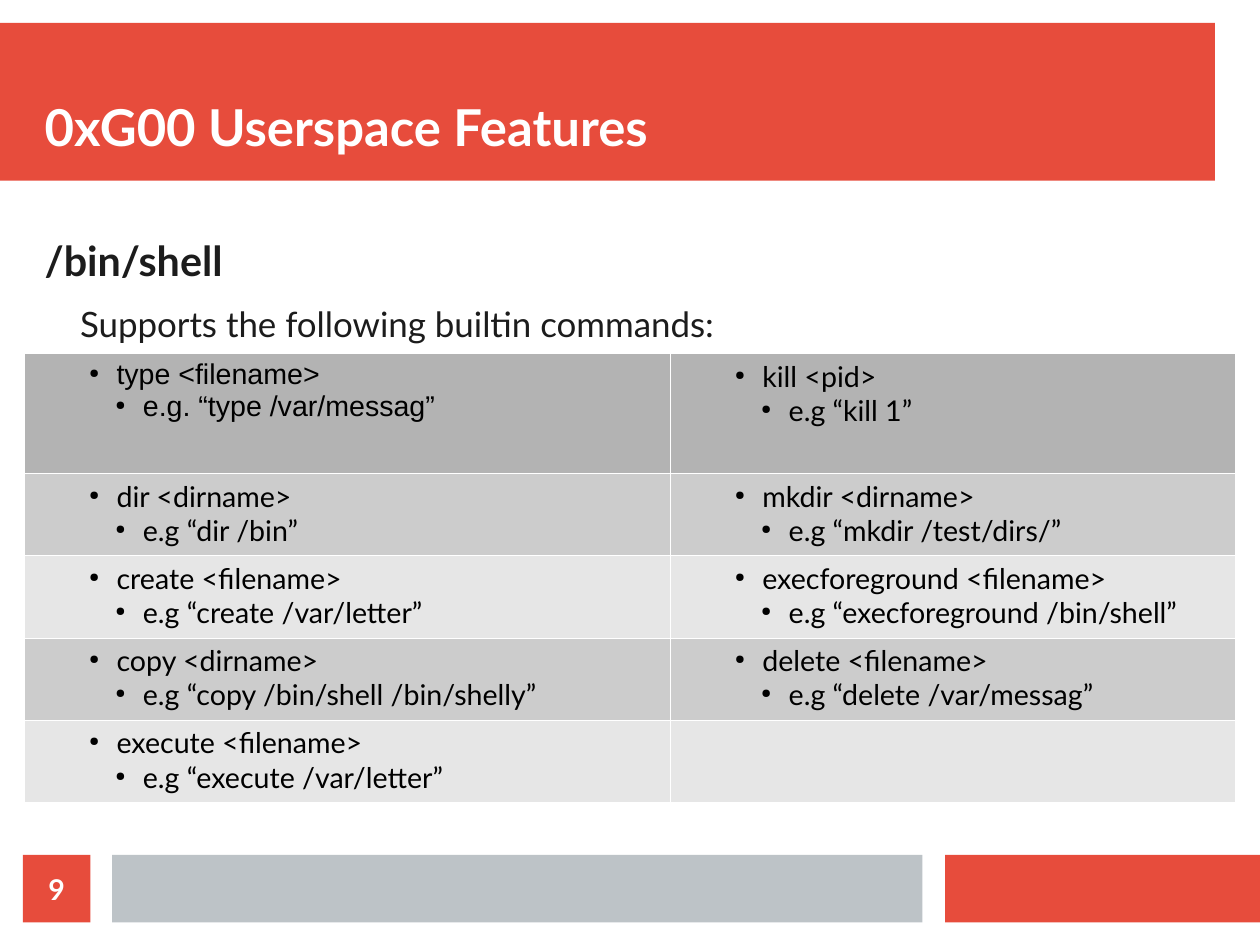
from dataclasses import dataclass

from lxml.etree import SubElement
from pptx import Presentation
from pptx.dml.color import RGBColor
from pptx.enum.shapes import MSO_SHAPE
from pptx.enum.text import MSO_ANCHOR, MSO_AUTO_SIZE, PP_ALIGN
from pptx.oxml.ns import qn
from pptx.util import Cm, Inches, Pt

RED, GREY, WHITE, INK, BLACK = "E74C3C", "BDC3C7", "FFFFFF", "1C1C1C", "000000"


@dataclass
class Bar:
    left: float
    top: float
    width: float
    height: float
    color: str
    text: str = ""


@dataclass
class Command:
    usage: str
    sample: str
    font: str = "Lato"


BARS = [
    Bar(0, 0.2, 10.63, 1.38, RED),
    Bar(8.27, 7.48, 2.76, 0.59, RED),
    Bar(0.98, 7.48, 7.09, 0.59, GREY),
    Bar(0.2, 7.48, 0.59, 0.59, RED, "9"),
]
ROWS = [
    [Command("type <filename>", "e.g. “type /var/messag”", "Arial"),
     Command("kill <pid>", "e.g “kill 1”")],
    [Command("dir <dirname>", "e.g “dir /bin”"),
     Command("mkdir <dirname>", "e.g “mkdir /test/dirs/”")],
    [Command("create <filename>", "e.g “create /var/letter”"),
     Command("execforeground <filename>", "e.g “execforeground /bin/shell”")],
    [Command("copy <dirname>", "e.g “copy /bin/shell /bin/shelly”"),
     Command("delete <filename>", "e.g “delete /var/messag”")],
    [Command("execute <filename>", "e.g “execute /var/letter”")],
]
WIDTHS = [5.65, 4.95]
HEAD, BANDS = "B3B3B3", ["E6E6E6", "CCCCCC"]


def paint(target, color: str) -> None:
    """Give a fill one solid colour."""
    target.solid()
    target.fore_color.rgb = RGBColor.from_string(color)


def style(para, size: float, color: str, bold: bool = False, face: str = "Lato") -> None:
    font = para.font
    font.name, font.size, font.bold = face, Pt(size), bold
    paint(font.fill, color)


def indent(para, left: float, hang: float = 0, dot: bool = False) -> None:
    """Set the paragraph's indent, with a small dot or no bullet."""
    props = para._p.get_or_add_pPr()
    props.set("marL", str(Inches(left)))
    props.set("indent", str(Inches(hang)))
    if dot:
        tint = SubElement(props, qn("a:buClr"))
        SubElement(tint, qn("a:srgbClr"), val=BLACK)
        SubElement(props, qn("a:buSzPct"), val="45000")
        SubElement(props, qn("a:buChar"), char="●")
    else:
        SubElement(props, qn("a:buNone"))


def place(shape, left: float, top: float, width: float, height: float) -> None:
    shape.left, shape.top = Inches(left), Inches(top)
    shape.width, shape.height = Inches(width), Inches(height)


def frame(shape, anchor: MSO_ANCHOR):
    """Return the shape's text frame with no margins."""
    box = shape.text_frame
    box.margin_left = box.margin_right = box.margin_top = box.margin_bottom = 0
    box.word_wrap, box.auto_size = True, MSO_AUTO_SIZE.NONE
    box.vertical_anchor = anchor
    return box


def draw_bar(slide, bar: Bar) -> None:
    shape = slide.shapes.add_shape(MSO_SHAPE.RECTANGLE, 0, 0, 0, 0)
    place(shape, bar.left, bar.top, bar.width, bar.height)
    shape.shadow.inherit = False
    paint(shape.fill, bar.color)
    shape.line.fill.background()
    if bar.text:
        para = frame(shape, MSO_ANCHOR.MIDDLE).paragraphs[0]
        para.text, para.alignment = bar.text, PP_ALIGN.CENTER
        style(para, 18, WHITE, True)


def draw_cell(cell, color: str, command: Command | None) -> None:
    props = cell._tc.get_or_add_tcPr()
    for side in ("lnL", "lnR", "lnT", "lnB"):
        line = SubElement(props, qn(f"a:{side}"), w=str(Pt(0.06)))
        fill = SubElement(line, qn("a:solidFill"))
        SubElement(fill, qn("a:srgbClr"), val=WHITE)
    paint(cell.fill, color)
    if command is None:
        style(cell.text_frame.paragraphs[0], 18, BLACK)
        return
    cell.text = f"{command.usage}\n{command.sample}"
    for level, (para, left) in enumerate(zip(cell.text_frame.paragraphs, (0.71, 0.94)), 2):
        para.level = level
        indent(para, left, -0.24, dot=True)
        style(para, 18, BLACK, face=command.font)


def main() -> None:
    # A 28 by 21 cm page
    deck = Presentation()
    deck.slide_width, deck.slide_height = Cm(28), Cm(21)
    slide = deck.slides.add_slide(deck.slide_layouts[1])

    # Bars and page number
    for bar in BARS:
        draw_bar(slide, bar)

    # Title, brought in front of its bar
    title = slide.shapes.title
    place(title, 0.39, 0.39, 10.24, 0.98)
    para = frame(title, MSO_ANCHOR.BOTTOM).paragraphs[0]
    para.text, para.alignment = "0xG00 Userspace Features", PP_ALIGN.LEFT
    style(para, 32, WHITE, True)
    title.element.getparent().append(title.element)

    # Heading and lead-in
    body = slide.placeholders[1]
    place(body, 0.39, 2.06, 10.04, 5.12)
    box = frame(body, MSO_ANCHOR.TOP)
    box.text = "/bin/shell\nSupports the following builtin commands:"
    for level, (para, size) in enumerate(zip(box.paragraphs, (26, 22))):
        para.level = level
        indent(para, 0.31 * level)
        para.space_before, para.space_after = Pt(0), Pt(11.4)
        style(para, size, INK, level == 0)

    # Command table
    table = slide.shapes.add_table(
        len(ROWS), len(WIDTHS), Inches(0.21), Inches(3.09), Inches(10.6), Inches(3.93)).table
    table.first_row = table.horz_banding = False
    for column, width in zip(table.columns, WIDTHS):
        column.width = Inches(width)
    for r, pair in enumerate(ROWS):
        table.rows[r].height = Inches(0.72 if r else 1.05)
        color = BANDS[r % 2] if r else HEAD
        for c in range(len(WIDTHS)):
            draw_cell(table.cell(r, c), color, pair[c] if c < len(pair) else None)

    deck.save("out.pptx")


if __name__ == "__main__":
    main()
